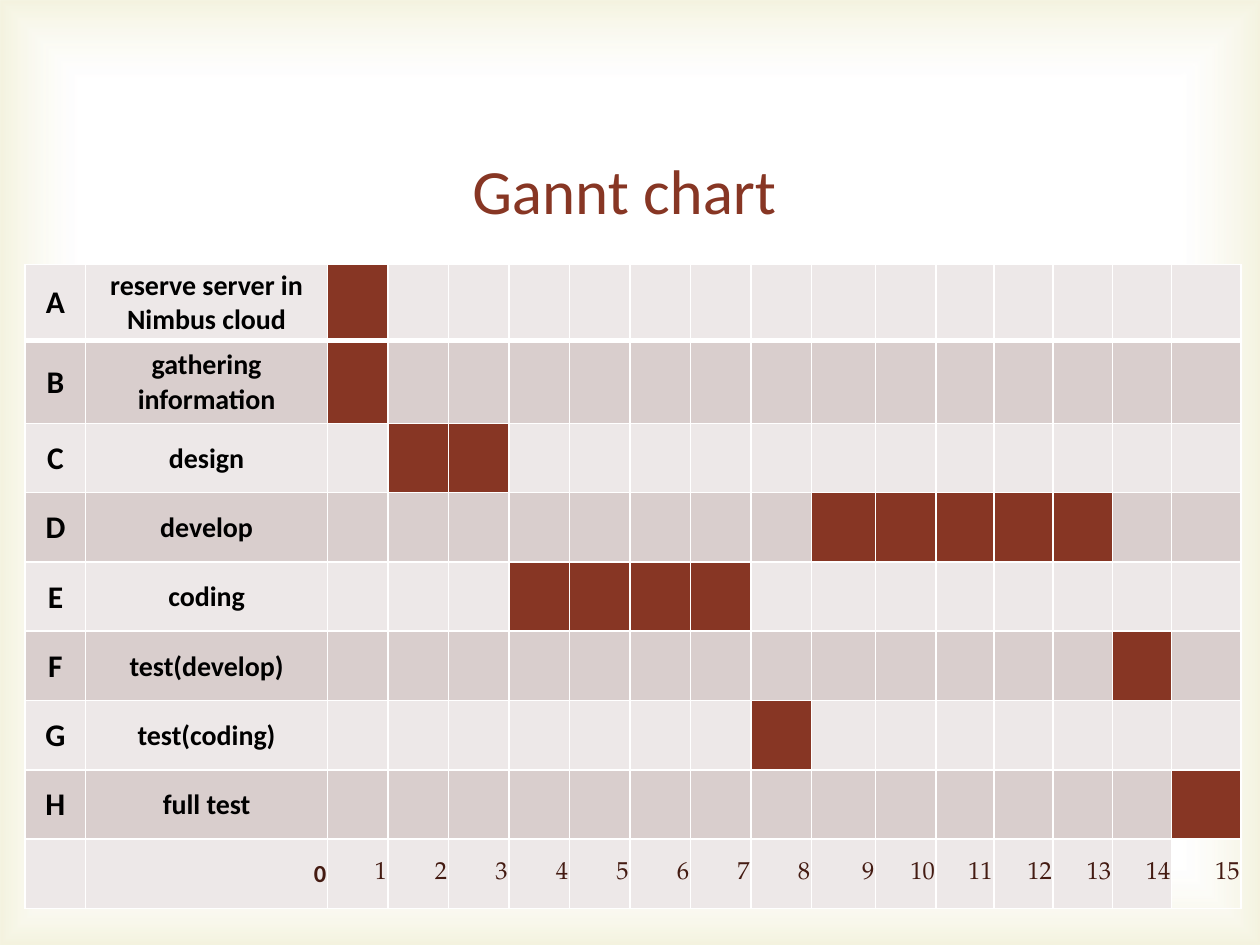
from lxml import etree
from pptx import Presentation
from pptx.dml.color import RGBColor
from pptx.enum.shapes import MSO_SHAPE
from pptx.enum.text import MSO_ANCHOR, PP_ALIGN
from pptx.oxml import parse_xml
from pptx.util import Inches, Pt

RECTANGLE = MSO_SHAPE.RECTANGLE
MIDDLE = MSO_ANCHOR.MIDDLE
CENTER, RIGHT = PP_ALIGN.CENTER, PP_ALIGN.RIGHT
TITLE_ONLY = 5
NAMESPACE = "http://schemas.openxmlformats.org/drawingml/2006/main"

BAR, WHITE, BLACK, DAY_TEXT = "873624", "FFFFFF", "000000", "441B12"
BANDS = ("EDE8E8", "D9CECD")
COLUMN_WIDTHS = [0.48, 1.92] + [0.48] * 8 + [0.51, 0.48, 0.46, 0.47, 0.47, 0.47, 0.55]
ROW_HEIGHTS = [0.6, 0.66] + [0.55] * 7
DAYS = 15
TASKS = [
    ("A", "reserve server in Nimbus cloud", 1, 1),
    ("B", "gathering information", 1, 1),
    ("C", "design", 2, 3),
    ("D", "develop", 9, 13),
    ("E", "coding", 4, 7),
    ("F", "test(develop)", 14, 14),
    ("G", "test(coding)", 8, 8),
    ("H", "full test", 15, 15),
]
LETTER = {"size": Pt(18), "name": "Calibri", "bold": True}
TASK = {**LETTER, "size": Pt(16)}
ORIGIN = {**LETTER, "size": Pt(14)}
DAY = {"size": Pt(14), "name": "TeX Gyre Pagella", "bold": False}
TITLE = {"size": Pt(36), "name": "Calibri", "bold": False}

GLOW = f"""<a:gradFill xmlns:a="{NAMESPACE}" rotWithShape="1"><a:gsLst>
<a:gs pos="83000"><a:srgbClr val="FFFFFF"><a:alpha val="11000"/></a:srgbClr></a:gs>
<a:gs pos="100000"><a:srgbClr val="D1CA75"><a:alpha val="23000"/></a:srgbClr></a:gs>
</a:gsLst><a:path path="rect"><a:fillToRect l="50000" t="50000" r="50000" b="50000"/></a:path>
</a:gradFill>"""


def color(value):
    """Turn a hex string into a colour."""
    return RGBColor.from_string(value)


def write_text(text_frame, text, font_format, text_color, alignment):
    """Write one formatted paragraph into a text frame."""
    paragraph = text_frame.paragraphs[0]
    paragraph.alignment = alignment
    run = paragraph.add_run()
    run.text = text
    for name, value in font_format.items():
        setattr(run.font, name, value)
    run.font.color.rgb = color(text_color)


def add_edge_glow(slide, left, top, width, height):
    """Place a soft coloured glow along the edges, behind everything else."""
    shape = slide.shapes.add_shape(RECTANGLE, left, top, width, height)
    shape.shadow.inherit = False
    shape.line.fill.background()
    shape.fill.background()
    properties = shape.element.spPr
    no_fill = properties.find(f"{{{NAMESPACE}}}noFill")
    properties.replace(no_fill, parse_xml(GLOW))
    slide.shapes.element.insert(2, shape.element)


def add_title(slide, left, top, width, height):
    """Place and format the title."""
    title = slide.shapes.title
    box = {"left": left, "top": top, "width": width, "height": height}
    for name, value in box.items():
        setattr(title, name, value)
    title.text_frame.vertical_anchor = MIDDLE
    write_text(title.text_frame, "Gannt chart", TITLE, BAR, RIGHT)


def set_borders(cell, top_width, bottom_width):
    """Draw white borders around a cell."""
    properties = cell._tc.get_or_add_tcPr()
    widths = {"lnL": 1, "lnR": 1, "lnT": top_width, "lnB": bottom_width}
    for position, (tag, width) in enumerate(widths.items()):
        line = etree.Element(f"{{{NAMESPACE}}}{tag}", w=str(Pt(width)))
        fill = etree.SubElement(line, f"{{{NAMESPACE}}}solidFill")
        etree.SubElement(fill, f"{{{NAMESPACE}}}srgbClr", val=WHITE)
        properties.insert(position, line)


def write_cell(cell, text, font_format, text_color, alignment):
    """Write text into a cell with narrow margins."""
    margins = {"margin_left": 0.01, "margin_top": 0.01, "margin_right": 0.01, "margin_bottom": 0}
    for name, value in margins.items():
        setattr(cell, name, Inches(value))
    cell.vertical_anchor = MIDDLE
    write_text(cell.text_frame, text, font_format, text_color, alignment)


def add_gantt_table(slide, left, top, width, height):
    """Build the table of tasks, day bars and the day scale."""
    table = slide.shapes.add_table(
        len(ROW_HEIGHTS), len(COLUMN_WIDTHS), left, top, width, height).table
    table.first_row = False
    table.horz_banding = False
    for column, column_width in zip(table.columns, COLUMN_WIDTHS):
        column.width = Inches(column_width)
    for index, (row, row_height) in enumerate(zip(table.rows, ROW_HEIGHTS)):
        row.height = Inches(row_height)
        for cell in row.cells:
            cell.fill.solid()
            cell.fill.fore_color.rgb = color(BANDS[index % 2])
            set_borders(cell, 3 if index == 1 else 1, 3 if index == 0 else 1)

    for index, (letter, task, first_day, last_day) in enumerate(TASKS):
        write_cell(table.cell(index, 0), letter, LETTER, BLACK, CENTER)
        write_cell(table.cell(index, 1), task, TASK, BLACK, CENTER)
        for day in range(first_day, last_day + 1):
            table.cell(index, day + 1).fill.fore_color.rgb = color(BAR)

    scale_row = len(TASKS)
    for day in range(DAYS + 1):
        day_format = DAY if day else ORIGIN
        write_cell(table.cell(scale_row, day + 1), str(day), day_format, DAY_TEXT, RIGHT)
    table.cell(scale_row, DAYS + 1).fill.background()


def main():
    """Build and save the presentation."""
    presentation = Presentation()
    presentation.slide_width = Inches(10)
    presentation.slide_height = Inches(7.5)
    slide = presentation.slides.add_slide(presentation.slide_layouts[TITLE_ONLY])
    add_edge_glow(slide, 0, 0, presentation.slide_width, presentation.slide_height)
    add_title(slide, Inches(2.87), Inches(1.15), Inches(3.39), Inches(0.71))
    add_gantt_table(slide, Inches(0.2), Inches(2.1), Inches(9.69), Inches(5.12))
    presentation.save("out.pptx")


if __name__ == "__main__":
    main()
